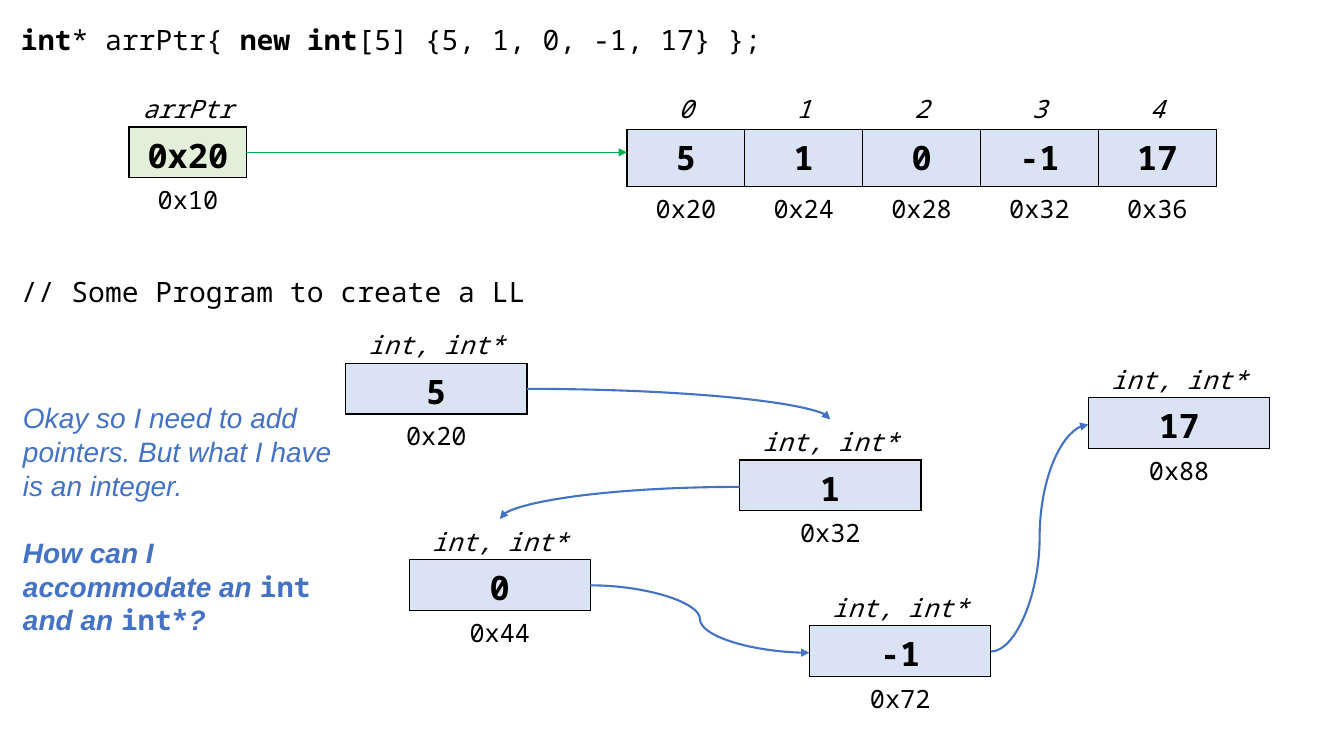
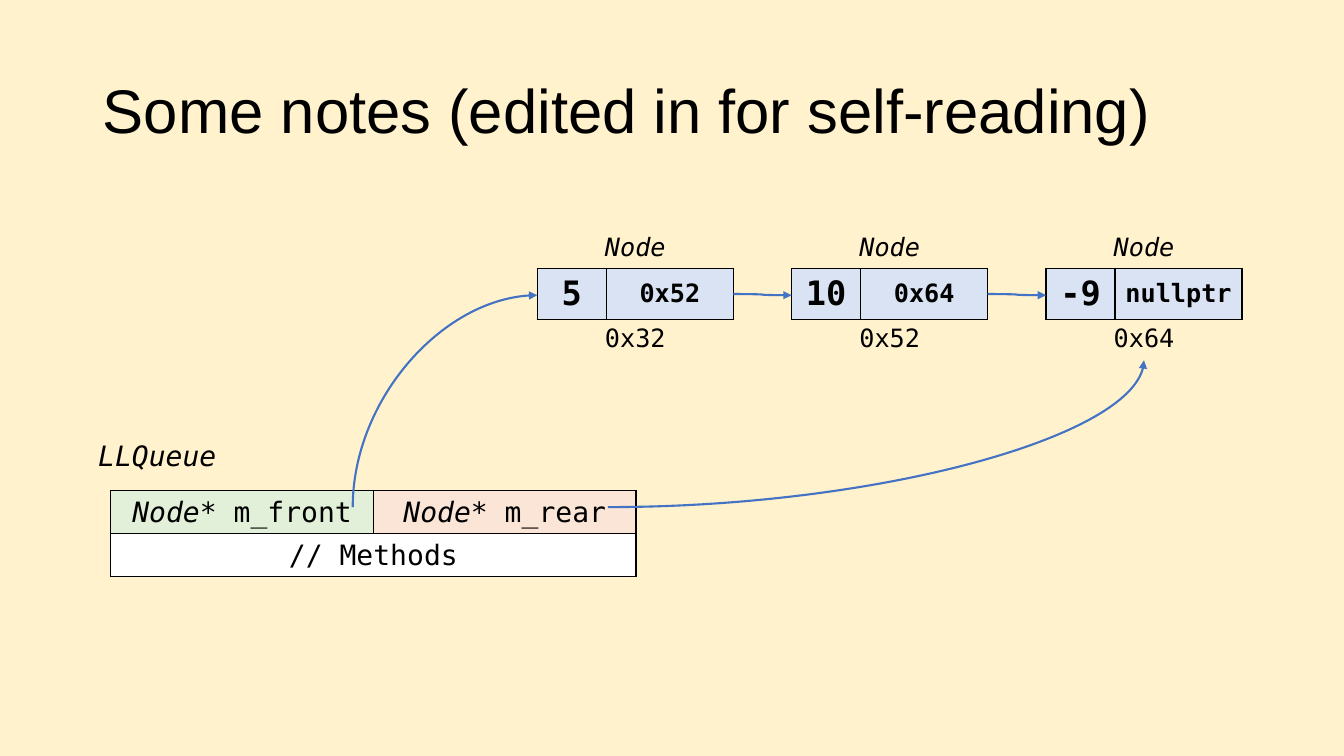
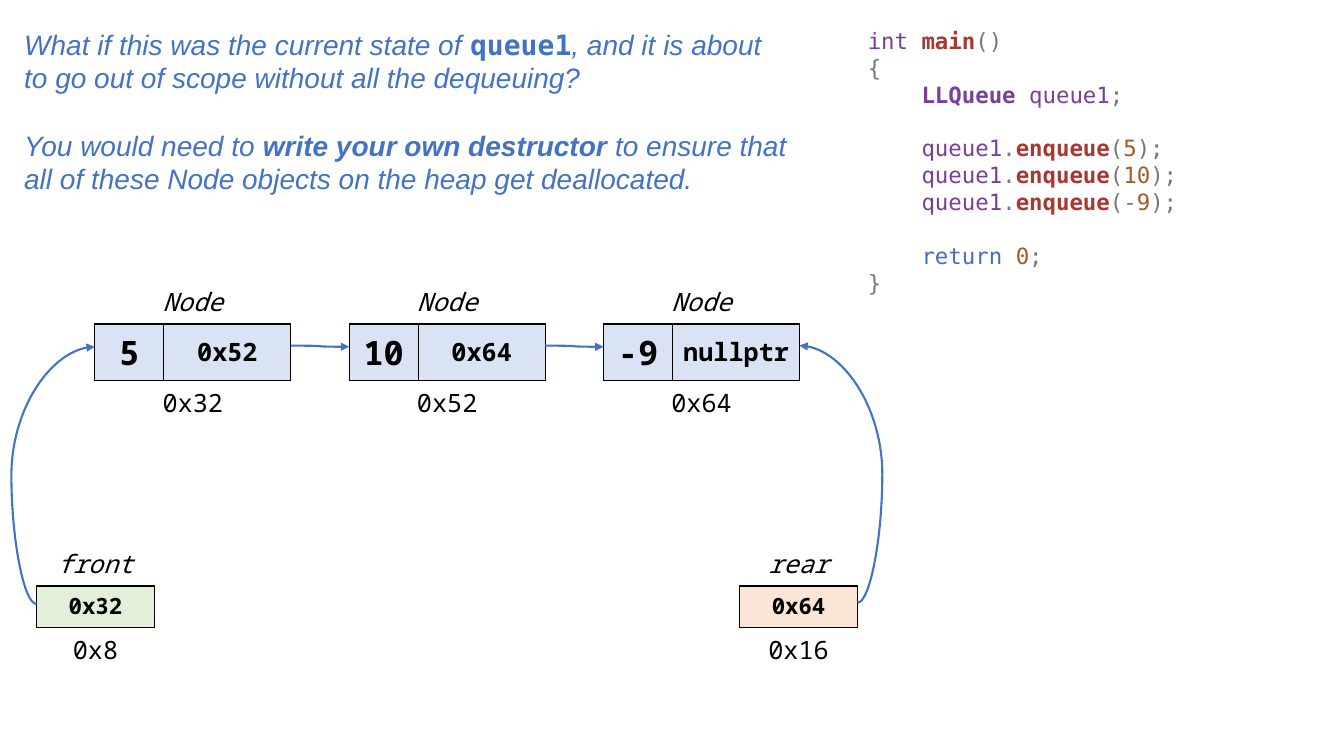
from dataclasses import dataclass

from lxml import etree
from pptx import Presentation
from pptx.dml.color import RGBColor
from pptx.enum.shapes import MSO_CONNECTOR
from pptx.enum.text import MSO_ANCHOR, PP_ALIGN
from pptx.oxml.ns import qn
from pptx.util import Cm, Pt

BLACK = RGBColor(0x00, 0x00, 0x00)
WHITE = RGBColor(0xFF, 0xFF, 0xFF)
CREAM = RGBColor(0xFF, 0xF2, 0xCC)
BLUE = RGBColor(0x44, 0x72, 0xC4)
GREEN = RGBColor(0x00, 0xB0, 0x50)
PALE_BLUE = RGBColor(0xDA, 0xE3, 0xF3)
PALE_GREEN = RGBColor(0xE2, 0xF0, 0xD9)
PALE_ORANGE = RGBColor(0xFB, 0xE5, 0xD6)
PURPLE = RGBColor(0x7A, 0x3E, 0x9D)
RED = RGBColor(0xAA, 0x37, 0x31)
GRAY = RGBColor(0x77, 0x77, 0x77)
BROWN = RGBColor(0x9C, 0x5D, 0x27)
KEYWORD_BLUE = RGBColor(0x4B, 0x69, 0xC6)

SANS, NOTO, DEJAVU = "Arial", "Noto Sans Mono", "DejaVu Sans Mono"
NO_STYLE = "{2D5ABB26-0587-4C30-8999-92F81FD0307C}"

CELL_W = 2.97
PAIR_W = 4.57
NODE_COLS = (1.74, 3.2)
NODE_STEP = 6.41
NODES = (("5", "0x52", "0x32"), ("10", "0x64", "0x52"), ("-9", "nullptr", "0x64"))
TIGHT_ROWS = (1.02, 1.28, 1.02)
TALL_ROWS = (1.09, 1.42, 1.09)
POINTER_ROWS = (1.09, 1.04, 1.09)


def write(tf, paragraphs, size=20, font=SANS, color=BLACK, bold=False, italic=False,
          align=PP_ALIGN.LEFT, spacing=None, gaps=None):
    """Fill tf; a paragraph is a list of strings or (string, format) pairs.

    gaps maps a paragraph index to its space before, in points.
    """
    base = dict(size=size, font=font, color=color, bold=bold, italic=italic)
    for i, runs in enumerate(paragraphs):
        p = tf.paragraphs[0] if i == 0 else tf.add_paragraph()
        p.alignment = align
        if spacing:
            p.line_spacing = spacing
        if gaps and i in gaps:
            p.space_before = Pt(gaps[i])
        for run in runs:
            text, extra = (run, {}) if isinstance(run, str) else run
            style = {**base, **extra}
            r = p.add_run()
            r.text = text
            r.font.size = Pt(style["size"])
            r.font.name = style["font"]
            r.font.color.rgb = style["color"]
            r.font.bold = style["bold"]
            r.font.italic = style["italic"]


@dataclass
class Box:
    """A memory table with the points, in cm, where arrows meet it."""
    x: float
    y: float
    w: float
    mid: float = 1.67

    @property
    def left(self):
        return self.x, self.y + self.mid + 0.03

    @property
    def right(self):
        return self.x + self.w, self.y + self.mid

    @property
    def top(self):
        return self.x + self.w / 2, self.y

    @property
    def bottom(self):
        return self.x + self.w / 2, self.y + 2 * self.mid


class Deck:
    def __init__(self):
        self.prs = Presentation()
        self.prs.slide_width, self.prs.slide_height = Cm(33.87), Cm(19.05)
        self.slide = None

    def new_slide(self, layout=6, background=WHITE):
        self.slide = self.prs.slides.add_slide(self.prs.slide_layouts[layout])
        fill = self.slide.background.fill
        fill.solid()
        fill.fore_color.rgb = background

    def title(self, text):
        sp = self.slide.shapes.title
        sp.left, sp.top, sp.width, sp.height = Cm(2.34), Cm(1.02), Cm(29.2), Cm(3.68)
        sp.text_frame.vertical_anchor = MSO_ANCHOR.MIDDLE
        write(sp.text_frame, [[text]], size=44, spacing=0.9)

    def text(self, x, y, w, h, paragraphs, **fmt):
        tf = self.slide.shapes.add_textbox(Cm(x), Cm(y), Cm(w), Cm(h)).text_frame
        tf.word_wrap = True
        write(tf, paragraphs, **fmt)

    def table(self, x, y, cols, rows):
        frame = self.slide.shapes.add_table(len(rows), len(cols), Cm(x), Cm(y),
                                            Cm(sum(cols)), Cm(sum(rows)))
        table = frame.table
        table.first_row = table.horz_banding = False
        table._tbl.tblPr.find(qn("a:tableStyleId")).text = NO_STYLE
        for column, w in zip(table.columns, cols):
            column.width = Cm(w)
        for row, h in zip(table.rows, rows):
            row.height = Cm(h)
        return table

    def cell(self, cell, runs, fill=None, sides="LRTB", bottom=0.13,
             anchor=MSO_ANCHOR.TOP, **fmt):
        cell.margin_left = cell.margin_right = Cm(0.1)
        cell.margin_top, cell.margin_bottom = Cm(0.13), Cm(bottom)
        cell.vertical_anchor = anchor
        tcPr = cell._tc.get_or_add_tcPr()
        for side in sides:
            ln = etree.SubElement(tcPr, qn("a:ln" + side), w=str(Pt(1)))
            solid = etree.SubElement(ln, qn("a:solidFill"))
            etree.SubElement(solid, qn("a:srgbClr"), val=str(BLACK))
        if fill is None:
            cell.fill.background()
        else:
            cell.fill.solid()
            cell.fill.fore_color.rgb = fill
        write(cell.text_frame, [runs], align=PP_ALIGN.CENTER, **fmt)

    def memory(self, x, y, cols, rows, labels, values, addresses, sizes=(24,),
               fill=PALE_BLUE, font=NOTO, bottom=0.13, mid=1.67):
        """Draw names over filled values over addresses; a lone name spans the row."""
        table = self.table(x, y, cols, rows)
        shared = dict(font=font, bottom=bottom)
        for row, texts in ((0, labels), (2, addresses)):
            if len(texts) < len(cols):
                table.cell(row, 0).merge(table.cell(row, len(cols) - 1))
            for i, text in enumerate(texts):
                self.cell(table.cell(row, i), [text], size=18, italic=row == 0,
                          sides="T" if row else "B", **shared)
        for i, value in enumerate(values):
            self.cell(table.cell(1, i), [value], fill=fill, bold=True,
                      size=sizes[i % len(sizes)], anchor=MSO_ANCHOR.MIDDLE
                      if len(sizes) > 1 else MSO_ANCHOR.TOP, **shared)
        return Box(x, y, sum(cols), mid)

    def node_chain(self, x, y, rows, font):
        boxes = [self.memory(x + i * NODE_STEP, y, NODE_COLS, rows, ["Node"],
                             [value, link], [address], sizes=(24, 18), font=font)
                 for i, (value, link, address) in enumerate(NODES)]
        for a, b in zip(boxes, boxes[1:]):
            self.arrow(a.right, b.left)
        return boxes

    def arrow(self, start, end, preset="curvedConnector3", bend=None, rising=False,
              color=BLUE, width=1.5):
        """Draw an arrow; bend places the middle, rising leaves upwards to the right."""
        c = self.slide.shapes.add_connector(
            MSO_CONNECTOR.CURVE, *(Cm(v) for v in (*start, *end)))
        c.line.color.rgb = color
        c.line.width = Pt(width)
        spPr = c._element.spPr
        geom = spPr.find(qn("a:prstGeom"))
        geom.set("prst", preset)
        if bend is not None:
            etree.SubElement(geom.find(qn("a:avLst")), qn("a:gd"),
                             name="adj1", fmla=f"val {round(bend * 100000)}")
        if rising:
            w, h = c.width, c.height
            c.left, c.top = c.left + (w - h) // 2, c.top + (h - w) // 2
            c.width, c.height = h, w
            xfrm = spPr.find(qn("a:xfrm"))
            for name, value in (("rot", "5400000"), ("flipH", "1"), ("flipV", "1")):
                xfrm.set(name, value)
        etree.SubElement(c.line._get_or_add_ln(), qn("a:tailEnd"), type="triangle")
        etree.SubElement(spPr, qn("a:effectLst"))


def array_and_list(deck):
    deck.new_slide()
    b = dict(bold=True)
    deck.text(0.28, 0.43, 20, 1.12, [[("int", b), "* arrPtr{ ", ("new int", b),
                                      "[5] {5, 1, 0, -1, 17} };"]], font=NOTO)
    deck.memory(15.8, 2.18, [CELL_W] * 5, TALL_ROWS, "01234",
                ["5", "1", "0", "-1", "17"], ["0x20", "0x24", "0x28", "0x32", "0x36"])
    deck.memory(3.25, 2.18, [CELL_W], TIGHT_ROWS, ["arrPtr"], ["0x20"], ["0x10"],
                fill=PALE_GREEN, bottom=0)
    deck.arrow((6.21, 3.84), (15.8, 3.84), preset="line", color=GREEN, width=0.5)

    deck.text(0.28, 6.78, 14.2, 1.12, [["// Some Program to create a LL"]], font=NOTO)
    five, one, zero, minus, last = [
        deck.memory(x, y, [PAIR_W], TIGHT_ROWS, ["int, int*"], [value], [address],
                    bottom=0)
        for x, y, value, address in (
            (8.71, 8.13, "5", "0x20"), (18.64, 10.57, "1", "0x32"),
            (10.31, 13.08, "0", "0x44"), (20.4, 14.75, "-1", "0x72"),
            (27.43, 9, "17", "0x88"))]
    deck.arrow(five.right, one.top, preset="curvedConnector2")
    deck.arrow(one.left, zero.top, preset="curvedConnector2")
    deck.arrow(zero.right, minus.left)
    deck.arrow(minus.right, last.left)

    mono = dict(font=NOTO, italic=False, bold=True)
    deck.text(0.33, 9.98, 8.38, 6.25, [
        ["Okay so I need to add pointers. But what I have is an integer."],
        [("How can I accommodate an ", b), ("int ", mono), ("and an ", b),
         ("int*", mono), ("?", b)],
    ], color=BLUE, italic=True, spacing=Pt(24), gaps={1: 24})


def queue_notes(deck):
    deck.new_slide(layout=5, background=CREAM)
    deck.title("Some notes (edited in for self-reading)")
    table = deck.table(2.79, 12.37, (6.62, 6.62), (1.08, 1.08))
    members = (("m_front", PALE_GREEN), ("m_rear", PALE_ORANGE))
    for i, (name, fill) in enumerate(members):
        deck.cell(table.cell(0, i), [("Node* ", dict(italic=True)), name],
                  fill=fill, font=DEJAVU)
    table.cell(1, 0).merge(table.cell(1, 1))
    deck.cell(table.cell(1, 0), ["// Methods"], fill=WHITE, font=DEJAVU)
    deck.text(1.91, 10.92, 4.11, 1.12, [["LLQueue"]], font=DEJAVU, italic=True,
              align=PP_ALIGN.CENTER)

    nodes = deck.node_chain(13.54, 5.74, TIGHT_ROWS, DEJAVU)
    deck.arrow((8.89, 12.78), nodes[0].left, preset="curvedConnector2", rising=True)
    deck.arrow((15.32, 12.78), nodes[-1].bottom, preset="curvedConnector2")


def destructor(deck):
    deck.new_slide()
    front, rear = [
        deck.memory(x, 13.64, [CELL_W], POINTER_ROWS, [name], [value], [address],
                    sizes=(16,), fill=fill, mid=1.55)
        for x, name, value, address, fill in (
            (0.92, "front", "0x32", "0x8", PALE_GREEN),
            (18.64, "rear", "0x64", "0x16", PALE_ORANGE))]
    nodes = deck.node_chain(2.39, 7.04, TALL_ROWS, NOTO)
    deck.arrow(front.left, nodes[0].left, bend=-0.43)
    deck.arrow(rear.right, nodes[-1].right, bend=-0.43)

    deck.text(0.36, 0.56, 19.81, 4.52, [
        ["What if this was the current state of ",
         ("queue1", dict(font=DEJAVU, italic=False, bold=True)),
         ", and it is about to go out of scope without all the dequeuing?"],
        ["You would need to ", ("write your own destructor ", dict(bold=True)),
         "to ensure that all of these Node objects on the heap get deallocated."],
    ], color=BLUE, italic=True, spacing=Pt(24), gaps={1: 24})

    name, number = dict(color=PURPLE), dict(color=BROWN)
    kind, function = dict(color=PURPLE, bold=True), dict(color=RED, bold=True)
    calls = [[("    queue1", name), ".", ("enqueue", function), opening,
              (value, number), ");"]
             for opening, value in (("(", "5"), ("(", "10"), ("(-", "9"))]
    deck.text(21.62, 0.56, 11.91, 7.09, [
        [("int ", name), ("main", function), "()"],
        ["{"],
        [("    LLQueue ", kind), ("queue1", name), ";"],
        *calls,
        [("    return ", dict(color=KEYWORD_BLUE)), ("0", number), ";"],
        ["}"],
    ], size=16, font=DEJAVU, color=GRAY, gaps={3: 19.2, 6: 19.2})


def main():
    deck = Deck()
    array_and_list(deck)
    queue_notes(deck)
    destructor(deck)
    deck.prs.save("out.pptx")


if __name__ == "__main__":
    main()
